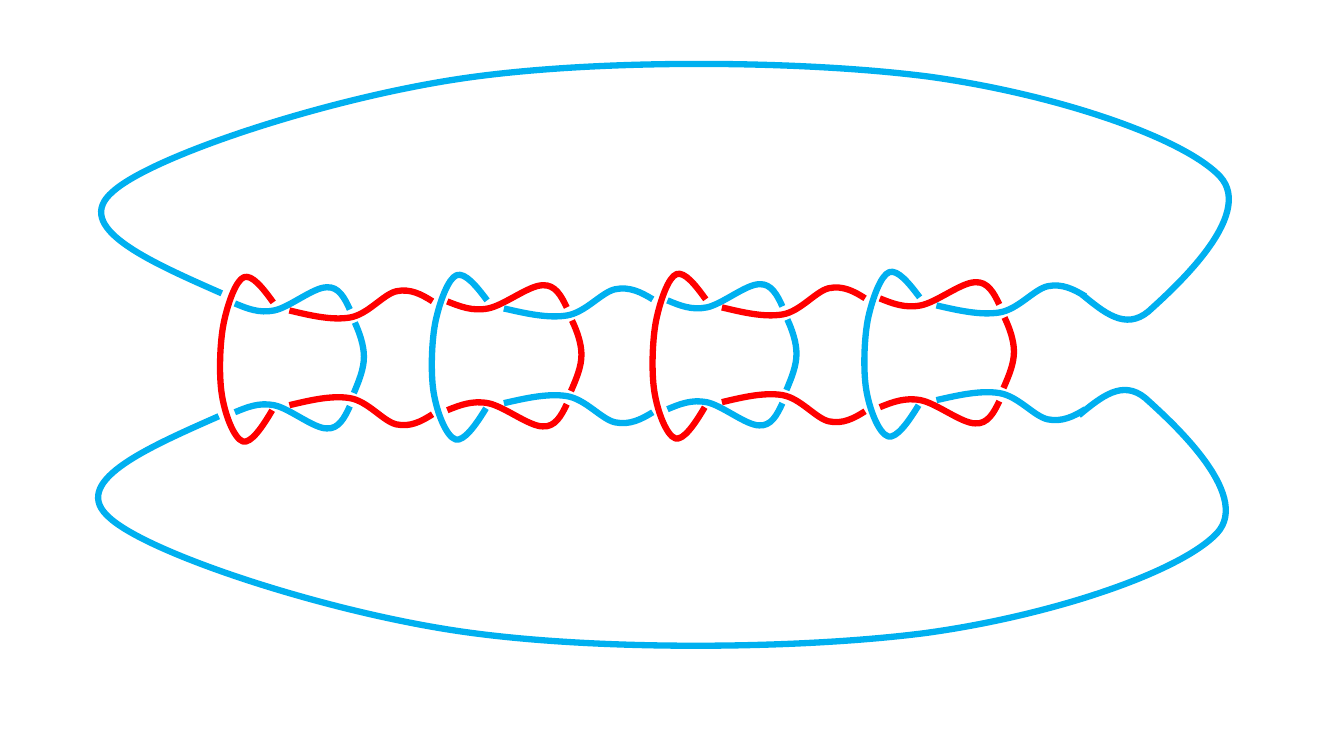
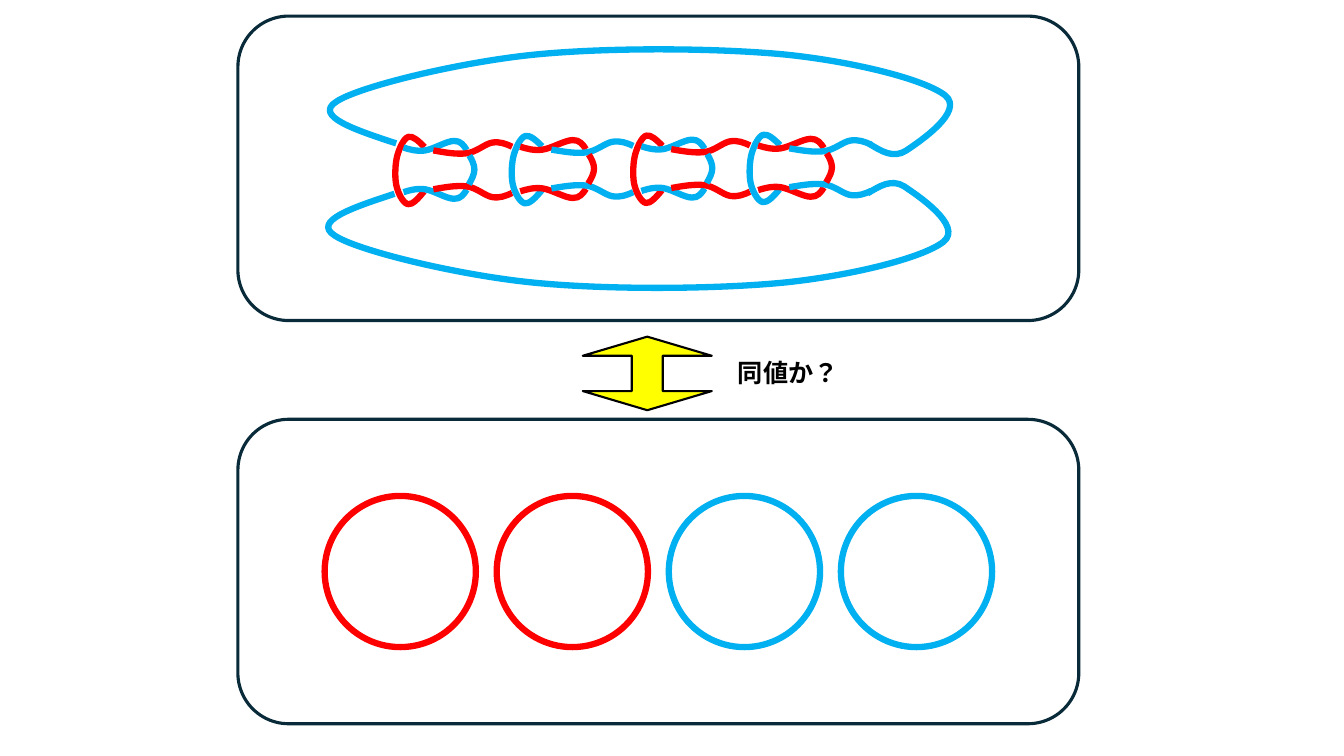
import pptx
import pptx.dml.color
import pptx.enum.lang
import pptx.enum.shapes
import pptx.oxml
import pptx.oxml.ns
import pptx.util

PX = 9144  # EMU in one px, 100 px to the inch
SLIDE_SIZE = (1333, 750)
FONT = "Noto Sans CJK JP"
COLORS = {
    "red": "FF0000",
    "blue": "00B0F0",
    "frame": "092A39",
    "arrow": "FFFF00",
    "black": "000000",
}
STRAND_WIDTH = 4.5
CURVE_STEPS = 24
SHAPES = pptx.enum.shapes.MSO_SHAPE

# Strands as cubic curves: a start, then three points for each piece
CLASP = [(271, 300), (261, 286), (250, 272), (242, 275),
         (234, 278), (226, 301), (222, 320), (218, 339), (217, 372), (220, 391),
         (223, 411), (232, 435), (241, 438), (249, 440), (260, 424), (270, 407)]
SHORT_WAVE = [(233, 301), (245, 306), (257, 311), (272, 308),
              (287, 305), (311, 285), (324, 285), (336, 284), (342, 296), (347, 307)]
LONG_WAVE = [(287, 308), (308, 313), (329, 318), (347, 315),
             (365, 312), (380, 292), (393, 289), (407, 286), (418, 292), (429, 299)]
BAR = [(352, 320), (357, 331), (361, 343), (361, 354), (361, 366), (356, 378), (351, 390)]
OUTER_LOOP = [(220, 291), (145, 258), (71, 225), (112, 190),
              (152, 154), (329, 96), (464, 77), (599, 58), (797, 60), (921, 76),
              (1045, 93), (1173, 136), (1210, 175), (1246, 214), (1161, 289), (1139, 309),
              (1116, 328), (1095, 310), (1073, 292)]

# Links of the chain: left, rise, stretch, clasp colour, other colour
LINK_LEFT = 218
LINKS = [
    (218, 0, 1, "red", "blue"),
    (428, 2, 1.04, "blue", "red"),
    (647, 3, 1, "red", "blue"),
    (857, 5, 1.04, "blue", "red"),
]
WAVE_MIRROR = 710
LOOP_MIRROR = 704
LOOP_SHIFT = -3


def emu(px):
    return round(px * PX)


def rgb(name):
    return pptx.dml.color.RGBColor.from_string(COLORS[name])


def style(shape, line, width, fill=None):
    shape.shadow.inherit = False
    shape.line.color.rgb = rgb(line)
    shape.line.width = pptx.util.Pt(width)
    if fill:
        shape.fill.solid()
        shape.fill.fore_color.rgb = rgb(fill)
    else:
        shape.fill.background()


def mirror(points, axis_sum, shift=0):
    return [(x + shift, axis_sum - y) for x, y in points]


def curve_point(corners, t):
    weights = ((1 - t) ** 3, 3 * t * (1 - t) ** 2, 3 * t ** 2 * (1 - t), t ** 3)
    return tuple(sum(w * corner[axis] for w, corner in zip(weights, corners))
                 for axis in (0, 1))


def add_curve(slide, points, color):
    """Draw one strand; sampled points fix its bounds, then real curves replace them."""
    points = [(emu(x), emu(y)) for x, y in points]
    samples = [curve_point(points[i:i + 4], step / CURVE_STEPS)
               for i in range(0, len(points) - 1, 3)
               for step in range(1, CURVE_STEPS + 1)]
    builder = slide.shapes.build_freeform(*points[0])
    builder.add_line_segments(samples, close=False)
    shape = builder.convert_to_shape()
    outline = shape._element.find(".//" + pptx.oxml.ns.qn("a:path"))
    for segment in list(outline)[1:]:
        outline.remove(segment)
    for i in range(1, len(points), 3):
        corners = "".join(f'<a:pt x="{x - shape.left}" y="{y - shape.top}"/>'
                          for x, y in points[i:i + 3])
        outline.append(pptx.oxml.parse_xml(
            f'<a:cubicBezTo {pptx.oxml.ns.nsdecls("a")}>{corners}</a:cubicBezTo>'))
    style(shape, color, STRAND_WIDTH)


def add_chain(slide, origin=(0, 0), scale=(1, 1)):
    def draw(points, color):
        add_curve(slide, [(origin[0] + x * scale[0], origin[1] + y * scale[1])
                          for x, y in points], color)

    for left, rise, stretch, clasp_color, other_color in LINKS:
        strands = [
            (CLASP, clasp_color),
            (SHORT_WAVE, other_color),
            (mirror(SHORT_WAVE, WAVE_MIRROR), other_color),
            (LONG_WAVE, clasp_color),
            (mirror(LONG_WAVE, WAVE_MIRROR), clasp_color),
            (BAR, other_color),
        ]
        for points, color in strands:
            draw([(left + (x - LINK_LEFT) * stretch, y - rise) for x, y in points], color)
    draw(OUTER_LOOP, "blue")
    draw(mirror(OUTER_LOOP, LOOP_MIRROR, LOOP_SHIFT), "blue")


def add_shape(slide, kind, box, line, width, fill=None):
    shape = slide.shapes.add_shape(kind, *map(emu, box))
    style(shape, line, width, fill)
    return shape


def add_frame(slide, top):
    add_shape(slide, SHAPES.ROUNDED_RECTANGLE, (236, top, 834, 302), "frame", 2.25)


def add_up_down_arrow(slide, box, shaft, head):
    arrow = add_shape(slide, SHAPES.UP_DOWN_ARROW, box, "black", 1.5, "arrow")
    # The library names both guides adj1, so they are written out here
    guides = arrow._element.find(".//" + pptx.oxml.ns.qn("a:avLst"))
    for guide in list(guides):
        guides.remove(guide)
    for name, value in (("adj1", shaft), ("adj2", head)):
        guides.append(pptx.oxml.parse_xml(
            f'<a:gd {pptx.oxml.ns.nsdecls("a")} name="{name}" '
            f'fmla="val {round(value * 100000)}"/>'))


def add_label(slide, text, box):
    text_box = slide.shapes.add_textbox(*map(emu, box))
    text_box.text_frame.word_wrap = False
    paragraph = text_box.text_frame.paragraphs[0]
    paragraph.text = text
    # The language gives the full-width question mark
    paragraph.runs[0].font.language_id = pptx.enum.lang.MSO_LANGUAGE_ID.JAPANESE
    font = paragraph.font
    font.size = pptx.util.Pt(18)
    font.bold = True
    font.color.rgb = rgb("black")
    font.name = FONT
    # East Asian glyphs take their own typeface entry
    properties = paragraph._p.find(".//" + pptx.oxml.ns.qn("a:defRPr"))
    properties.append(pptx.oxml.parse_xml(
        f'<a:ea {pptx.oxml.ns.nsdecls("a")} typeface="{FONT}"/>'))


def build_chain_slide(slide):
    add_chain(slide)


def build_question_slide(slide):
    # Chain in the upper frame
    add_chain(slide, origin=(272, 23), scale=(0.55, 0.41))
    add_frame(slide, 16)

    # Four separate rings in the lower frame
    for i, color in enumerate(("red", "red", "blue", "blue")):
        add_shape(slide, SHAPES.OVAL, (322 + 512 * i / 3, 492, 150, 150),
                  color, STRAND_WIDTH)
    add_frame(slide, 416)

    # Question between the frames
    add_up_down_arrow(slide, (578, 334, 128, 73), shaft=0.24, head=0.26)
    add_label(slide, "同値か？", (722, 350, 121, 40))


def main():
    presentation = pptx.Presentation()
    presentation.slide_width, presentation.slide_height = map(emu, SLIDE_SIZE)
    blank = presentation.slide_layouts[6]
    for build in (build_chain_slide, build_question_slide):
        build(presentation.slides.add_slide(blank))
    presentation.save("out.pptx")


if __name__ == "__main__":
    main()
